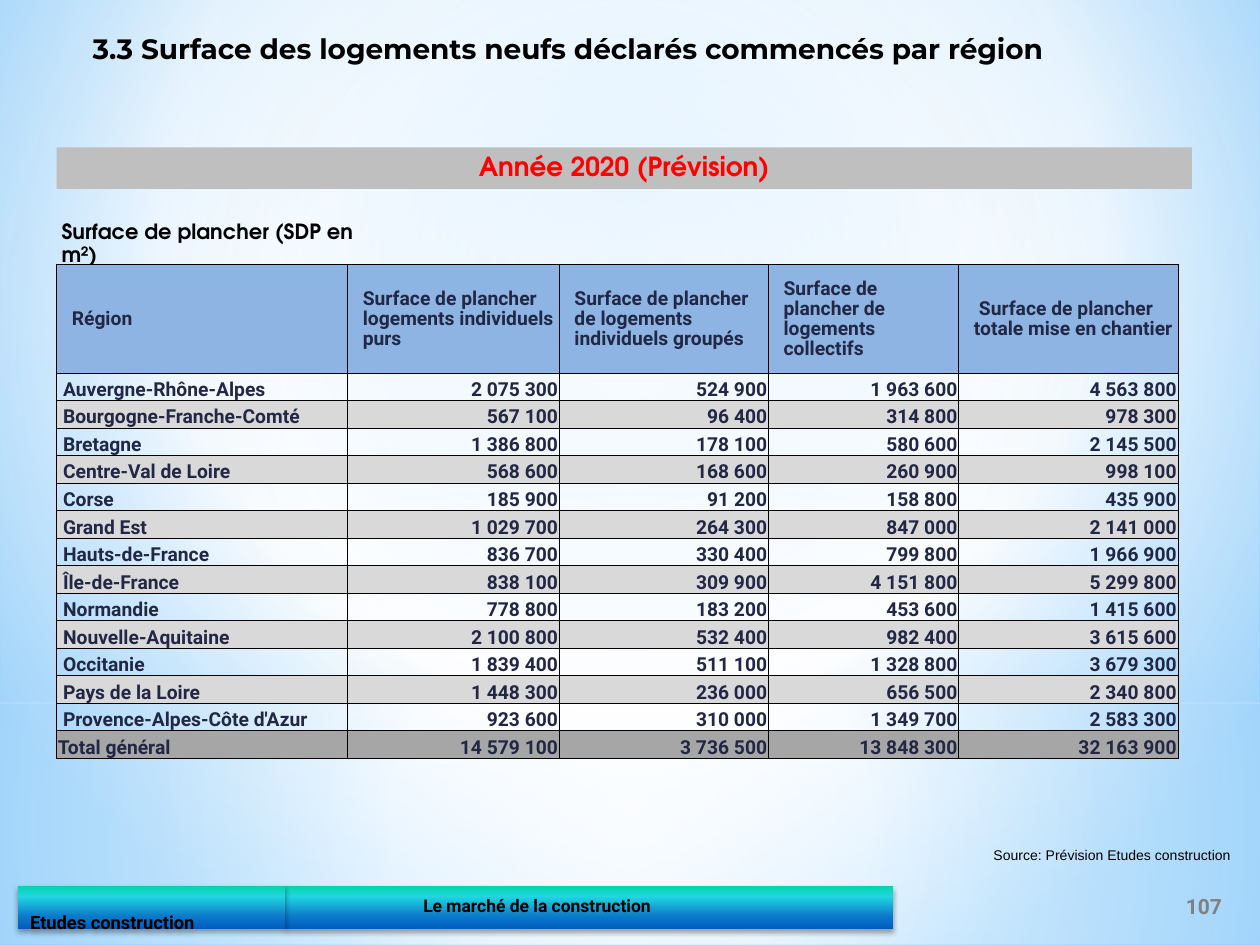
from lxml import etree
from pptx import Presentation
from pptx import util as u
from pptx.dml.color import RGBColor
from pptx.enum import shapes, text
from pptx.oxml import ns

THEME = {
    "font": {"body": "Roboto", "title": "Montserrat", "accent": "TeX Gyre Adventor",
             "source": "Arial"},
    "size": {"title": 16, "year": 15, "unit": 12, "table": 11, "company": 10.5,
             "footer": 10, "source": 8, "page": 12},
    "color": {"text": "000000", "year": "FF0000", "table": "212745", "page": "808080",
              "source": "080000", "banner": "BFBFBF", "header": "8DB4E2",
              "band": "D9D9D9", "total": "A6A6A6", "border": "000000"},
    # stops: position %, colour, opacity %
    "backdrop": [(0, "9ED5FF", 100), (60, "FFFFFF", 100), (100, "5BB9FF", 100)],
    "lower_veil": [(0, "FFFFFF", 91), (37, "FFFFFF", 76), (100, "B4DCFA", 79)],
    "upper_veil": [(0, "FFFFFF", 89), (48, "FFFFFF", 62), (100, "B4DCFA", 79)],
    "footer": [(0, "03D4A8", 100), (25, "21D6E0", 100), (72, "0D79CA", 100),
               (100, "005CBF", 100)],
}
FONT, SIZE, COLOR = THEME["font"], THEME["size"], THEME["color"]

TITLE = "3.3 Surface des logements neufs déclarés commencés par région"
YEAR = "Année 2020 (Prévision)"
UNIT = "Surface de plancher (SDP en m²)"
SOURCE = "Source: Prévision Etudes construction"
FOOTER = "Le marché de la construction"
COMPANY = "Etudes construction"
PAGE = "107"

HEADERS = [
    "Région",
    "Surface de plancher logements individuels purs",
    "Surface de plancher de logements individuels groupés",
    "Surface de plancher de logements collectifs",
    "Surface de plancher totale mise en chantier",
]
REGIONS = [
    ("Auvergne-Rhône-Alpes", "2 075 300", "524 900", "1 963 600", "4 563 800"),
    ("Bourgogne-Franche-Comté", "567 100", "96 400", "314 800", "978 300"),
    ("Bretagne", "1 386 800", "178 100", "580 600", "2 145 500"),
    ("Centre-Val de Loire", "568 600", "168 600", "260 900", "998 100"),
    ("Corse", "185 900", "91 200", "158 800", "435 900"),
    ("Grand Est", "1 029 700", "264 300", "847 000", "2 141 000"),
    ("Hauts-de-France", "836 700", "330 400", "799 800", "1 966 900"),
    ("Île-de-France", "838 100", "309 900", "4 151 800", "5 299 800"),
    ("Normandie", "778 800", "183 200", "453 600", "1 415 600"),
    ("Nouvelle-Aquitaine", "2 100 800", "532 400", "982 400", "3 615 600"),
    ("Occitanie", "1 839 400", "511 100", "1 328 800", "3 679 300"),
    ("Pays de la Loire", "1 448 300", "236 000", "656 500", "2 340 800"),
    ("Provence-Alpes-Côte d'Azur", "923 600", "310 000", "1 349 700", "2 583 300"),
]
TOTAL = ("Total général", "14 579 100", "3 736 500", "13 848 300", "32 163 900")
COLUMN_WIDTHS = [2.31, 1.68, 1.66, 1.51, 1.74]
TABLE_HEIGHT, HEADER_HEIGHT = 3.92, 0.86

LEFT, CENTER, RIGHT = text.PP_ALIGN.LEFT, text.PP_ALIGN.CENTER, text.PP_ALIGN.RIGHT
TOP, MIDDLE, BOTTOM = text.MSO_ANCHOR.TOP, text.MSO_ANCHOR.MIDDLE, text.MSO_ANCHOR.BOTTOM


def write(frame, content, *, size, font=FONT["body"], color=COLOR["text"], bold=True,
          align=LEFT, spacing=0.9):
    paragraph = frame.paragraphs[0]
    paragraph.alignment = align
    paragraph.line_spacing = spacing
    run = paragraph.add_run()
    run.text = content
    run.font.size = u.Pt(size)
    run.font.name = font
    run.font.bold = bold
    run.font.color.rgb = RGBColor.from_string(color)
    return paragraph


def set_margins(target, left, top, right, bottom):
    target.margin_left, target.margin_top = u.Inches(left), u.Inches(top)
    target.margin_right, target.margin_bottom = u.Inches(right), u.Inches(bottom)


def xml(markup):
    return etree.fromstring(markup.replace(">", f' xmlns:a="{ns.nsuri("a")}">', 1))


def gradient(stops, focus=None):
    """Vertical gradient, or a circular one when focus gives its l, t, r, b in %."""
    marks = "".join(
        f'<a:gs pos="{pos * 1000}"><a:srgbClr val="{color}">'
        f'<a:alpha val="{opacity * 1000}"/></a:srgbClr></a:gs>'
        for pos, color, opacity in stops)
    if focus:
        edges = " ".join(f'{side}="{part * 1000}"' for side, part in zip("ltrb", focus))
        direction = f'<a:path path="circle"><a:fillToRect {edges}/></a:path>'
    else:
        direction = '<a:lin ang="5400000" scaled="0"/>'
    return xml(f'<a:gradFill rotWithShape="1"><a:gsLst>{marks}</a:gsLst>{direction}</a:gradFill>')


def add_panel(slide, box, kind=shapes.MSO_SHAPE.RECTANGLE):
    panel = slide.shapes.add_shape(kind, *map(u.Inches, box))
    panel.shadow.inherit = False
    panel.line.fill.background()
    panel.text_frame.word_wrap = True
    return panel


def fill_gradient(fill_owner, properties, stops, focus=None):
    fill_owner.fill.solid()
    solid = properties.find(ns.qn("a:solidFill"))
    properties.replace(solid, gradient(stops, focus))


def add_footer_bar(slide, box):
    bar = add_panel(slide, box, shapes.MSO_SHAPE.FRAME)
    bar.adjustments[0] = 0.5
    properties = bar._element.spPr
    fill_gradient(bar, properties, THEME["footer"])
    properties.find(ns.qn("a:effectLst")).append(xml(
        '<a:outerShdw blurRad="39370" dist="22860" dir="5400000" rotWithShape="0">'
        '<a:srgbClr val="000000"><a:alpha val="35000"/></a:srgbClr></a:outerShdw>'))
    return bar.text_frame


def add_label(slide, box, content, *, anchor=TOP, wrap=True, **style):
    frame = slide.shapes.add_textbox(*map(u.Inches, box)).text_frame
    frame.word_wrap = wrap
    frame.vertical_anchor = anchor
    write(frame, content, **style)


def draw_borders(cell):
    properties = cell._tc.get_or_add_tcPr()
    for position, side in enumerate("LRTB"):
        properties.insert(position, xml(
            f'<a:ln{side} w="6350"><a:solidFill><a:srgbClr val="{COLOR["border"]}"/>'
            f'</a:solidFill></a:ln{side}>'))


def add_region_table(slide):
    rows = [HEADERS, *REGIONS, TOTAL]
    last = len(rows) - 1
    table = slide.shapes.add_table(
        len(rows), len(HEADERS), u.Inches(0.45), u.Inches(2.1),
        u.Inches(sum(COLUMN_WIDTHS)), u.Inches(TABLE_HEIGHT)).table
    table.first_row = table.horz_banding = False
    for column, width in zip(table.columns, COLUMN_WIDTHS):
        column.width = u.Inches(width)
    body_height = (TABLE_HEIGHT - HEADER_HEIGHT) / last
    for r, values in enumerate(rows):
        header, total = r == 0, r == last
        table.rows[r].height = u.Inches(HEADER_HEIGHT if header else body_height)
        fill = (COLOR["header"] if header else COLOR["total"] if total
                else COLOR["band"] if r % 2 == 0 else None)
        for c, value in enumerate(values):
            cell = table.cell(r, c)
            indent = 0.12 if header else 0.05 if c == 0 and not total else 0.01
            set_margins(cell, indent, 0.01, 0.01, 0)
            cell.vertical_anchor = MIDDLE if header else BOTTOM
            if fill:
                cell.fill.solid()
                cell.fill.fore_color.rgb = RGBColor.from_string(fill)
            else:
                cell.fill.background()
            draw_borders(cell)
            paragraph = write(cell.text_frame, value, size=SIZE["table"],
                              color=COLOR["table"],
                              align=LEFT if header or c == 0 else RIGHT)
            if header and c == len(HEADERS) - 1:
                paragraph._p.get_or_add_pPr().set("indent", str(u.Inches(0.04)))


def main():
    deck = Presentation()
    deck.slide_width, deck.slide_height = u.Inches(10), u.Inches(7.5)
    slide = deck.slides.add_slide(deck.slide_layouts[6])

    background = slide.background
    background.fill.solid()
    fill_gradient(background, slide._element.cSld.bg.bgPr, THEME["backdrop"], (20, 10, 20, 60))
    for box, stops in [((0, 5.58, 10, 1.92), THEME["lower_veil"]),
                       ((0, 0, 10, 5.58), THEME["upper_veil"])]:
        veil = add_panel(slide, box)
        fill_gradient(veil, veil._element.spPr, stops, (50, 50, 50, 50))

    footer = add_footer_bar(slide, (2.26, 7.03, 4.83, 0.34))
    set_margins(footer, 1.1, 0.05, 0.1, 0.05)
    footer.vertical_anchor = MIDDLE
    write(footer, FOOTER, size=SIZE["footer"])
    company = add_footer_bar(slide, (0.14, 7.03, 2.12, 0.34))
    set_margins(company, 0.1, 0.22, 0.1, 0)
    company.vertical_anchor = TOP
    write(company, COMPANY, size=SIZE["company"])

    add_label(slide, (9.26, 6.99, 0.59, 0.4), PAGE, anchor=MIDDLE, size=SIZE["page"],
              color=COLOR["page"], align=CENTER, spacing=1.0)
    add_label(slide, (0.39, 1.71, 2.84, 0.28), UNIT, size=SIZE["unit"], font=FONT["accent"])
    add_label(slide, (0.26, 0.23, 8.5, 0.44), TITLE, size=SIZE["title"], font=FONT["title"],
              align=CENTER)

    banner = add_panel(slide, (0.45, 1.17, 9.01, 0.33))
    banner.fill.solid()
    banner.fill.fore_color.rgb = RGBColor.from_string(COLOR["banner"])
    banner.text_frame.vertical_anchor = TOP
    write(banner.text_frame, YEAR, size=SIZE["year"], font=FONT["accent"],
          color=COLOR["year"], align=CENTER)

    add_region_table(slide)
    add_label(slide, (7.66, 6.63, 2.21, 0.31), SOURCE, anchor=MIDDLE, wrap=False,
              size=SIZE["source"], font=FONT["source"], color=COLOR["source"], bold=False,
              align=RIGHT, spacing=1.0)
    deck.save("out.pptx")


if __name__ == "__main__":
    main()
